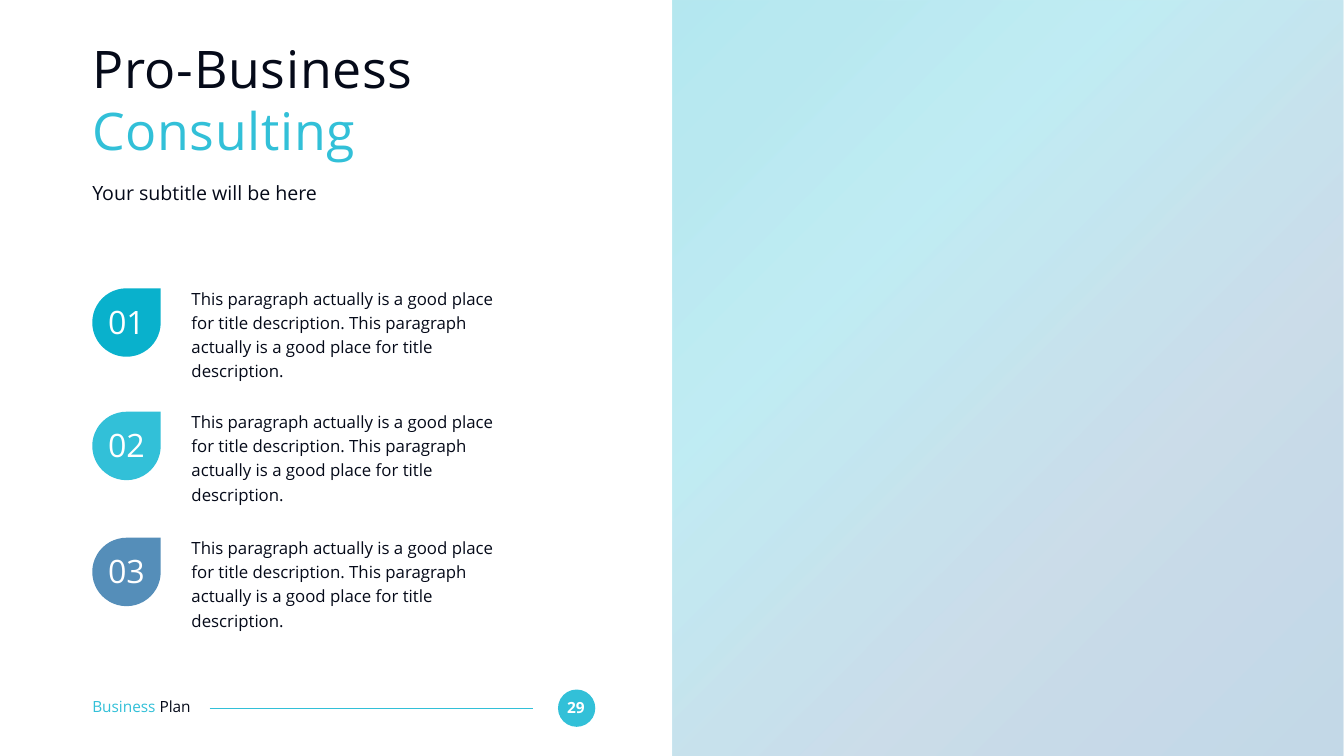
from dataclasses import dataclass

from lxml import etree
from pptx import Presentation
from pptx.dml.color import RGBColor
from pptx.enum.shapes import MSO_CONNECTOR, MSO_SHAPE
from pptx.enum.text import MSO_ANCHOR, MSO_AUTO_SIZE, PP_ALIGN
from pptx.oxml import parse_xml
from pptx.oxml.ns import nsdecls, qn
from pptx.util import Cm, Pt

LEFT, CENTER = PP_ALIGN.LEFT, PP_ALIGN.CENTER
TOP = MSO_ANCHOR.TOP
NO_FIT = MSO_AUTO_SIZE.NONE
STRAIGHT = MSO_CONNECTOR.STRAIGHT
RECTANGLE, OVAL, TEAR = MSO_SHAPE.RECTANGLE, MSO_SHAPE.OVAL, MSO_SHAPE.TEAR


@dataclass(frozen=True)
class Theme:
    font: str = "Open Sans"
    ink: str = "050A19"
    white: str = "FFFFFF"
    teal: str = "09B1CC"
    aqua: str = "32C0D8"
    steel: str = "558EB9"
    blue: str = "397FB0"
    title: int = 74
    number: int = 46
    subtitle: int = 28
    body: int = 24
    footer: int = 22


T = Theme()
MARGIN = 4.65
DESCRIPTION = " ".join(
    ["This paragraph actually is a good place for title description."] * 2
)
ITEMS = [
    ("01", 14.33, T.teal),
    ("02", 20.55, T.aqua),
    ("03", 26.9, T.steel),
]


def fill_text(sp, runs, size, align=LEFT, spacing=1.0, bold=False):
    tf = sp.text_frame
    tf.word_wrap = True
    tf.auto_size = NO_FIT
    tf.vertical_anchor = TOP
    tf.margin_left = tf.margin_right = tf.margin_top = tf.margin_bottom = 0
    p = tf.paragraphs[0]
    p.alignment = align
    p.line_spacing = spacing
    for text, color in runs:
        r = p.add_run()
        r.text = text
        r.font.name = T.font
        r.font.size = Pt(size)
        r.font.bold = bold
        r.font.color.rgb = RGBColor.from_string(color)


def add_text(s, x, y, w, h, runs, size, **style):
    sp = s.shapes.add_textbox(Cm(x), Cm(y), Cm(w), Cm(h))
    fill_text(sp, runs, size, **style)


def add_shape(s, kind, x, y, w, h, color):
    sp = s.shapes.add_shape(kind, Cm(x), Cm(y), Cm(w), Cm(h))
    sp.shadow.inherit = False
    sp.line.fill.background()
    sp.fill.solid()
    sp.fill.fore_color.rgb = RGBColor.from_string(color)
    return sp


def add_gradient_panel(s, x, y, w, h):
    sp = add_shape(s, RECTANGLE, x, y, w, h, T.aqua)
    stops = "".join(
        f'<a:gs pos="{pos * 1000}"><a:srgbClr val="{color}">'
        f'<a:alpha val="30000"/></a:srgbClr></a:gs>'
        for pos, color in [(0, T.teal), (33, T.aqua), (66, T.steel), (100, T.blue)]
    )
    gradient = parse_xml(
        f'<a:gradFill {nsdecls("a")} rotWithShape="1"><a:gsLst>{stops}</a:gsLst>'
        f'<a:lin ang="2700000" scaled="0"/></a:gradFill>'
    )
    pr = sp._element.spPr
    pr.replace(pr.find(qn("a:solidFill")), gradient)


def add_title(s):
    sp = s.shapes.title
    sp.left, sp.top, sp.width, sp.height = Cm(MARGIN), Cm(1.85), Cm(25.15), Cm(6.4)
    fill_text(sp, [("Pro-Business ", T.ink), ("Consulting", T.aqua)], T.title)
    for r in sp.text_frame.paragraphs[0].runs:
        r.font._element.set("spc", "100")


def add_item(s, number, top, color):
    add_text(s, 9.65, top, 15.95, 3.61, [(DESCRIPTION, T.ink)], T.body, spacing=1.2)
    add_shape(s, TEAR, MARGIN, top + 0.2, 3.45, 3.45, color)
    add_text(s, 4.98, top + 0.89, 2.79, 1.96, [(number, T.white)], T.number, align=CENTER)


def add_footer(s):
    add_shape(s, OVAL, 28.12, 34.75, 1.88, 1.88, T.aqua)
    add_text(s, 28.27, 35.18, 1.5, 0.94, [("29", T.white)], T.footer,
             align=CENTER, bold=True)
    line = s.shapes.add_connector(STRAIGHT, Cm(10.57), Cm(35.69), Cm(26.85), Cm(35.69))
    line.line.color.rgb = RGBColor.from_string(T.aqua)
    line.line.width = Pt(1.5)
    etree.SubElement(line._element.spPr, qn("a:effectLst"))
    add_text(s, MARGIN, 35.15, 6.58, 0.94,
             [("Business ", T.aqua), ("Plan", T.ink)], T.footer)


def main():
    prs = Presentation()
    prs.slide_width, prs.slide_height = Cm(67.73), Cm(38.1)
    s = prs.slides.add_slide(prs.slide_layouts[5])
    add_footer(s)
    add_gradient_panel(s, 33.87, 0, 33.86, 38.1)
    add_title(s)
    add_text(s, MARGIN, 9.12, 25.15, 1.24,
             [("Your subtitle will be here", T.ink)], T.subtitle)
    for item in ITEMS:
        add_item(s, *item)
    prs.save("out.pptx")


if __name__ == "__main__":
    main()
